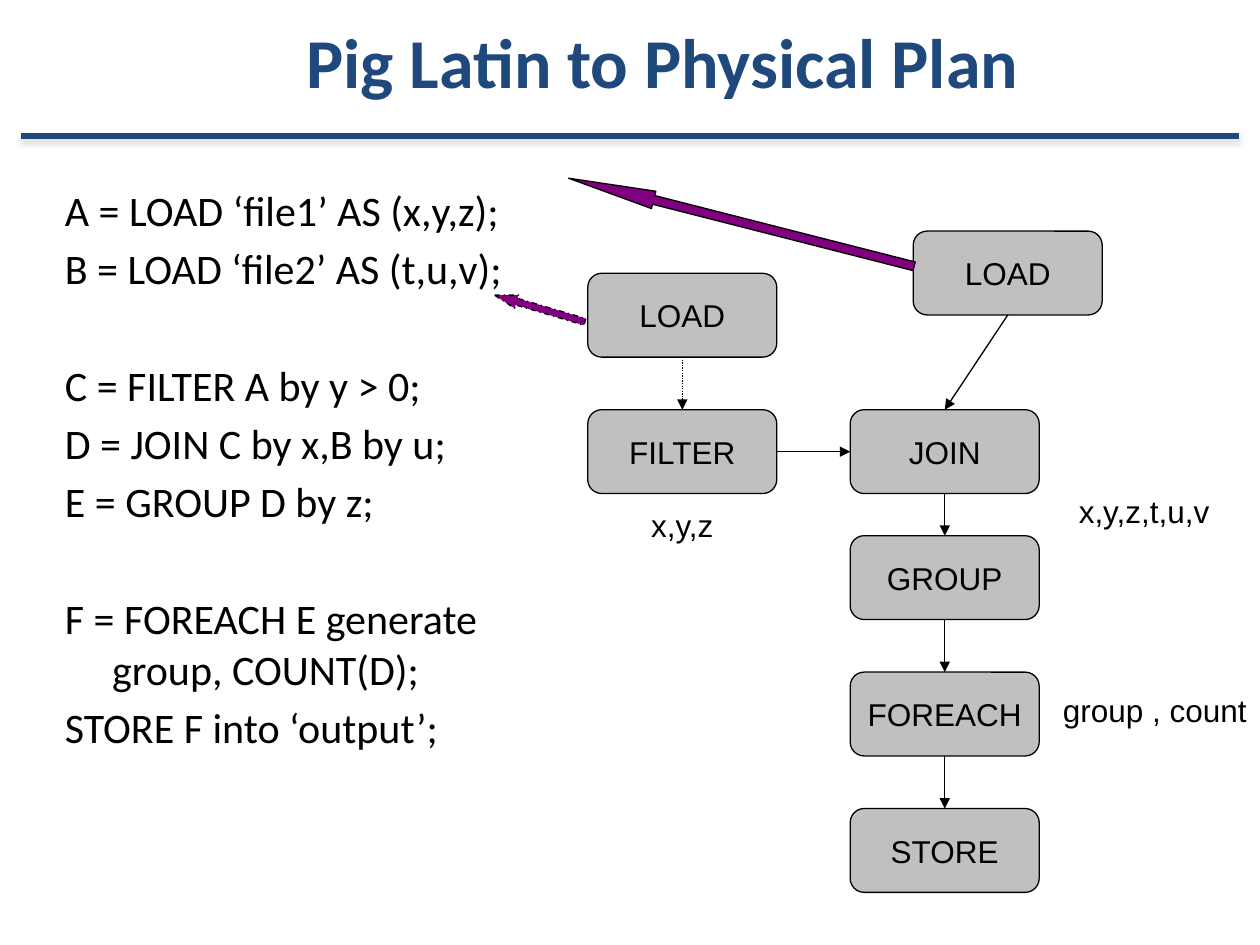
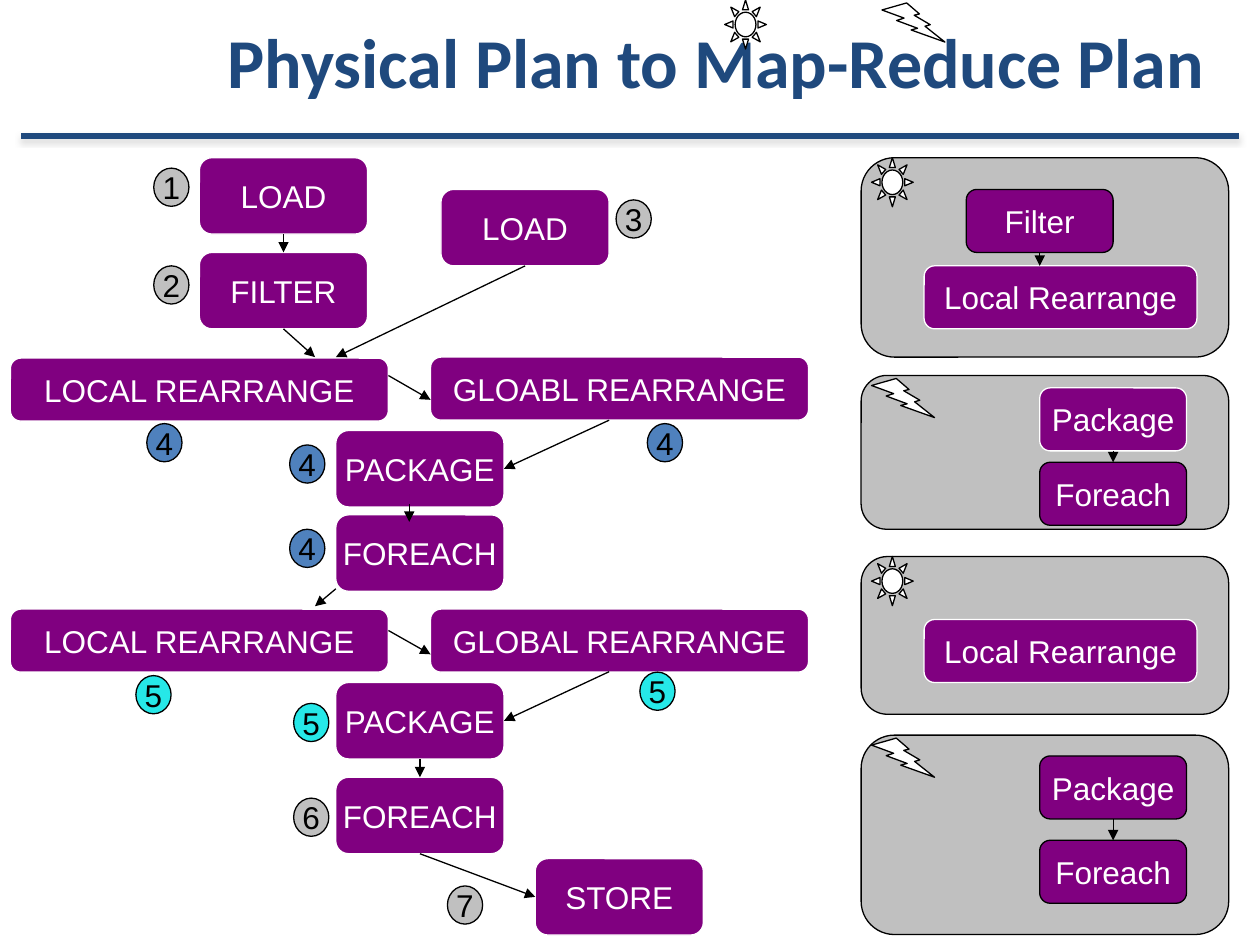
from dataclasses import dataclass

from lxml import etree
from pptx import Presentation
from pptx.dml.color import RGBColor
from pptx.enum.dml import MSO_LINE
from pptx.enum.shapes import MSO_CONNECTOR, MSO_SHAPE
from pptx.enum.text import MSO_ANCHOR, PP_ALIGN
from pptx.oxml.ns import qn
from pptx.util import Cm, Pt

ROUNDED = MSO_SHAPE.ROUNDED_RECTANGLE
OVAL = MSO_SHAPE.OVAL
SUN = MSO_SHAPE.SUN
BOLT = MSO_SHAPE.LIGHTNING_BOLT
LEFT_ARROW = MSO_SHAPE.LEFT_ARROW
STRAIGHT = MSO_CONNECTOR.STRAIGHT
DOTTED = MSO_LINE.ROUND_DOT
DASH_DOT = MSO_LINE.DASH_DOT
MIDDLE = MSO_ANCHOR.MIDDLE
CENTER = PP_ALIGN.CENTER
TOP, LEFT, BOTTOM, RIGHT = range(4)


@dataclass(frozen=True)
class Theme:
    navy: str = "1F497D"
    black: str = "000000"
    white: str = "FFFFFF"
    silver: str = "C0C0C0"
    purple: str = "800080"
    blue: str = "4F81BD"
    cyan: str = "26E8E8"
    shadow: str = "808080"
    heading_font: str = "Calibri"
    label_font: str = "Arial"
    title_size: int = 40
    code_size: int = 24
    label_size: int = 18
    thin: float = 0.75
    thick: float = 3


THEME = Theme()


@dataclass(frozen=True)
class Box:
    left: float
    top: float
    width: float
    height: float

    def point(self, x, y):
        return Cm(self.left + x), Cm(self.top + y)

    def inner(self, x, y, width, height):
        return Box(self.left + x, self.top + y, width, height)

    def lengths(self):
        return Cm(self.left), Cm(self.top), Cm(self.width), Cm(self.height)


def rgb(color):
    return RGBColor.from_string(color)


def style_para(para, font, size, color, bold=False):
    para.font.name = font
    para.font.size = Pt(size)
    para.font.color.rgb = rgb(color)
    para.font.bold = bold


def put_label(shape, text, color):
    frame = shape.text_frame
    frame.word_wrap = False
    frame.text = text
    para = frame.paragraphs[0]
    para.alignment = CENTER
    style_para(para, THEME.label_font, THEME.label_size, color)


def add_figure(page, box, kind, fill, text="", ink=THEME.black, outline=THEME.black):
    shape = page.shapes.add_shape(kind, *box.lengths())
    shape.shadow.inherit = False
    shape.fill.solid()
    shape.fill.fore_color.rgb = rgb(fill)
    shape.line.color.rgb = rgb(outline)
    shape.line.width = Pt(THEME.thin)
    if text:
        shape.text_frame.vertical_anchor = MIDDLE
        put_label(shape, text, ink)
    return shape


def add_line(page, start, end, color, width):
    line = page.shapes.add_connector(STRAIGHT, *start, *end)
    line.line.color.rgb = rgb(color)
    line.line.width = Pt(width)
    effects = etree.SubElement(line._element.spPr, qn("a:effectLst"))
    return line, effects


def link(page, start, end, dash=None):
    """Each end is a free point or a pair of shape and side."""
    free = [isinstance(stop[0], int) for stop in (start, end)]
    origin = (Cm(0), Cm(0))
    line, _ = add_line(page, start if free[0] else origin,
                       end if free[1] else origin, THEME.black, THEME.thin)
    if not free[0]:
        line.begin_connect(*start)
    if not free[1]:
        line.end_connect(*end)
    if dash:
        line.line.dash_style = dash
    outline = line._element.spPr.find(qn("a:ln"))
    etree.SubElement(outline, qn("a:tailEnd"), type="triangle")


def add_header(page, box, title, indent):
    _, effects = add_line(page, box.point(box.width, 2.74), box.point(0, 2.74),
                          THEME.navy, THEME.thick)
    shadow = etree.SubElement(effects, qn("a:outerShdw"), blurRad="40000",
                              dist="23000", dir="5400000", rotWithShape="0")
    tint = etree.SubElement(shadow, qn("a:srgbClr"), val=THEME.shadow)
    etree.SubElement(tint, qn("a:alpha"), val="35000")
    frame = page.shapes.add_textbox(*box.inner(3.6, 0.13, 21.16, 2.2).lengths()).text_frame
    frame.word_wrap = True
    frame.vertical_anchor = MIDDLE
    frame.margin_left = Cm(0.25 + indent)
    frame.text = title
    style_para(frame.paragraphs[0], THEME.heading_font, THEME.title_size,
               THEME.navy, True)


def add_program(page, box):
    blocks = [
        ["A = LOAD ‘file1’ AS (x,y,z);", "B = LOAD ‘file2’ AS (t,u,v);"],
        ["C = FILTER A by y > 0;", "D = JOIN C by x,B by u;", "E = GROUP D by z;"],
        ["F = FOREACH E generate group, COUNT(D);", "STORE F into ‘output’;"],
    ]
    frame = page.shapes.add_textbox(*box.lengths()).text_frame
    frame.word_wrap = True
    frame.text = "\n".join(line for block in blocks for line in block)
    openers = {block[0] for block in blocks[1:]}
    for para in frame.paragraphs:
        style_para(para, THEME.heading_font, THEME.code_size, THEME.black)
        para.space_before = Pt(38 if para.text in openers else 4.4)
        properties = para._element.get_or_add_pPr()
        properties.set("marL", str(Cm(0.95)))
        properties.set("indent", str(-Cm(0.95)))


def add_physical_plan(page, box):
    def operator(text, x, y):
        return add_figure(page, box.inner(x, y, 3.81, 1.69), ROUNDED, THEME.silver, text)

    filter_load = operator("LOAD", 0, 0.85)
    filter_step = operator("FILTER", 0, 3.6)
    join_load = operator("LOAD", 6.56, 0)
    chain = [operator(text, 5.29, y) for text, y in
             [("JOIN", 3.6), ("GROUP", 6.14), ("FOREACH", 8.89), ("STORE", 11.64)]]

    link(page, (filter_load, BOTTOM), (filter_step, TOP), DOTTED)
    link(page, (filter_step, RIGHT), (chain[0], LEFT))
    for upper, lower in zip([join_load] + chain, chain):
        link(page, (upper, BOTTOM), (lower, TOP))

    pointers = [(-1.92, 1.42, 1.9, 0.28, 16.5, 1.66, DASH_DOT),
                (-0.5, -0.36, 7.19, 0.36, 14.3, 4.92, None)]
    for x, y, width, height, angle, head, dash in pointers:
        pointer = add_figure(page, box.inner(x, y, width, height), LEFT_ARROW, THEME.purple)
        pointer.rotation = angle
        pointer.adjustments[1] = head
        if dash:
            pointer.line.dash_style = dash

    for text, x, y, width in [("x,y,z", 0, 5.41, 3.81), ("x,y,z,t,u,v", 9.31, 5.13, 3.81),
                              ("group , count", 9.31, 9.14, 4.24)]:
        note = page.shapes.add_textbox(*box.inner(x, y, width, 1.02).lengths())
        put_label(note, text, THEME.black)


def add_staged_plan(page, box):
    def operator(text, x, y, width=3.39, height=1.54):
        return add_figure(page, box.inner(x, y, width, height), ROUNDED,
                          THEME.purple, text, THEME.white, THEME.white)

    def rearrange(text, x, y):
        return operator(text, x, y, 7.62, 1.27)

    rearrange("LOCAL REARRANGE", 0, 4.04)
    rearrange("GLOABL REARRANGE", 8.47, 4.02)
    rearrange("LOCAL REARRANGE", 0, 9.1)
    rearrange("GLOBAL REARRANGE", 8.47, 9.1)
    first_load = operator("LOAD", 3.81, 0)
    filter_step = operator("FILTER", 3.81, 1.91)
    second_load = operator("LOAD", 8.68, 0.64)
    first_package = operator("PACKAGE", 6.56, 5.5)
    operator("FOREACH", 6.56, 7.2)
    second_package = operator("PACKAGE", 6.56, 10.58)
    second_foreach = operator("FOREACH", 6.56, 12.49)
    store = operator("STORE", 10.58, 14.13)

    point = box.point
    for start, end in [
        ((first_load, BOTTOM), (filter_step, TOP)),
        ((second_load, BOTTOM), point(6.56, 4.02)),
        ((filter_step, BOTTOM), point(6.14, 4.02)),
        (point(7.62, 4.39), point(8.47, 4.88)),
        (point(12.07, 5.29), (first_package, RIGHT)),
        (point(8.04, 6.99), point(8.04, 7.34)),
        (point(6.56, 8.69), point(6.14, 9.04)),
        (point(7.62, 9.53), point(8.47, 10.01)),
        (point(12.07, 10.36), (second_package, RIGHT)),
        ((second_package, BOTTOM), (second_foreach, TOP)),
        ((second_foreach, BOTTOM), (store, LEFT)),
    ]:
        link(page, start, end)

    badge_fills = {"4": THEME.blue, "5": THEME.cyan}
    for number, x, y in [
        ("1", 2.89, 0.21), ("2", 2.89, 2.18), ("3", 12.21, 0.85),
        ("4", 2.75, 5.36), ("4", 12.84, 5.36), ("4", 5.63, 5.79), ("4", 5.63, 7.49),
        ("5", 2.53, 10.44), ("5", 12.69, 10.37), ("5", 5.71, 11),
        ("6", 5.71, 12.91), ("7", 8.81, 14.68),
    ]:
        add_figure(page, box.inner(x, y, 0.71, 0.77), OVAL,
                   badge_fills.get(number, THEME.silver), number)


def add_icon(page, box, kind):
    size = (0.84, 0.99) if kind == SUN else (1.27, 0.79)
    offset = 0 if kind == SUN else 0.06
    add_figure(page, box.inner(0, offset, *size), kind, THEME.white)


def add_stage(page, box, icon, steps):
    add_figure(page, box, ROUNDED, THEME.silver)
    add_icon(page, box.inner(0.21, 0, 1, 1), icon)
    shapes = [add_figure(page, box.inner(x, y, width, 1.27), ROUNDED,
                         THEME.purple, text, THEME.white, outline)
              for text, x, y, width, outline in steps]
    for upper, lower in zip(shapes, shapes[1:]):
        below = (upper.left + upper.width // 2, lower.top)
        aligned = upper.left == lower.left
        link(page, (upper, BOTTOM), (lower, TOP) if aligned else below)


def add_stages(page, box):
    def local(y):
        return "Local Rearrange", 1.27, y, 5.5, THEME.white

    def small(text, x, y, outline=THEME.black):
        return text, x, y, 2.96, outline

    for y, height, icon, steps in [
        (0, 4.02, SUN, [small("Filter", 2.12, 0.64), local(2.18)]),
        (4.39, 3.1, BOLT, [small("Package", 3.6, 0.25, THEME.white),
                           small("Foreach", 3.6, 1.75)]),
        (8.04, 3.18, SUN, [local(1.27)]),
        (11.64, 4.02, BOLT, [small("Package", 3.6, 0.42), small("Foreach", 3.6, 2.12)]),
    ]:
        add_stage(page, box.inner(0, y, box.width, height), icon, steps)


def main():
    deck = Presentation()
    deck.slide_width, deck.slide_height = Cm(25.4), Cm(19.05)
    blank = deck.slide_layouts[6]
    header = Box(0.42, 0, 24.55, 2.74)

    page = deck.slides.add_slide(blank)
    add_header(page, header, "Pig Latin to Physical Plan", 1.91)
    add_program(page, Box(1.06, 3.6, 10.8, 13.41))
    add_physical_plan(page, Box(11.85, 4.66, 13.55, 13.33))

    page = deck.slides.add_slide(blank)
    add_header(page, header, "Physical Plan to Map-Reduce Plan", 0.32)
    add_staged_plan(page, Box(0.21, 3.18, 16.09, 15.67))
    add_stages(page, Box(17.36, 3.18, 7.41, 15.66))
    add_icon(page, Box(14.61, 0, 1, 1), SUN)
    add_icon(page, Box(17.78, 0, 1, 1), BOLT)

    deck.save("out.pptx")


if __name__ == "__main__":
    main()
